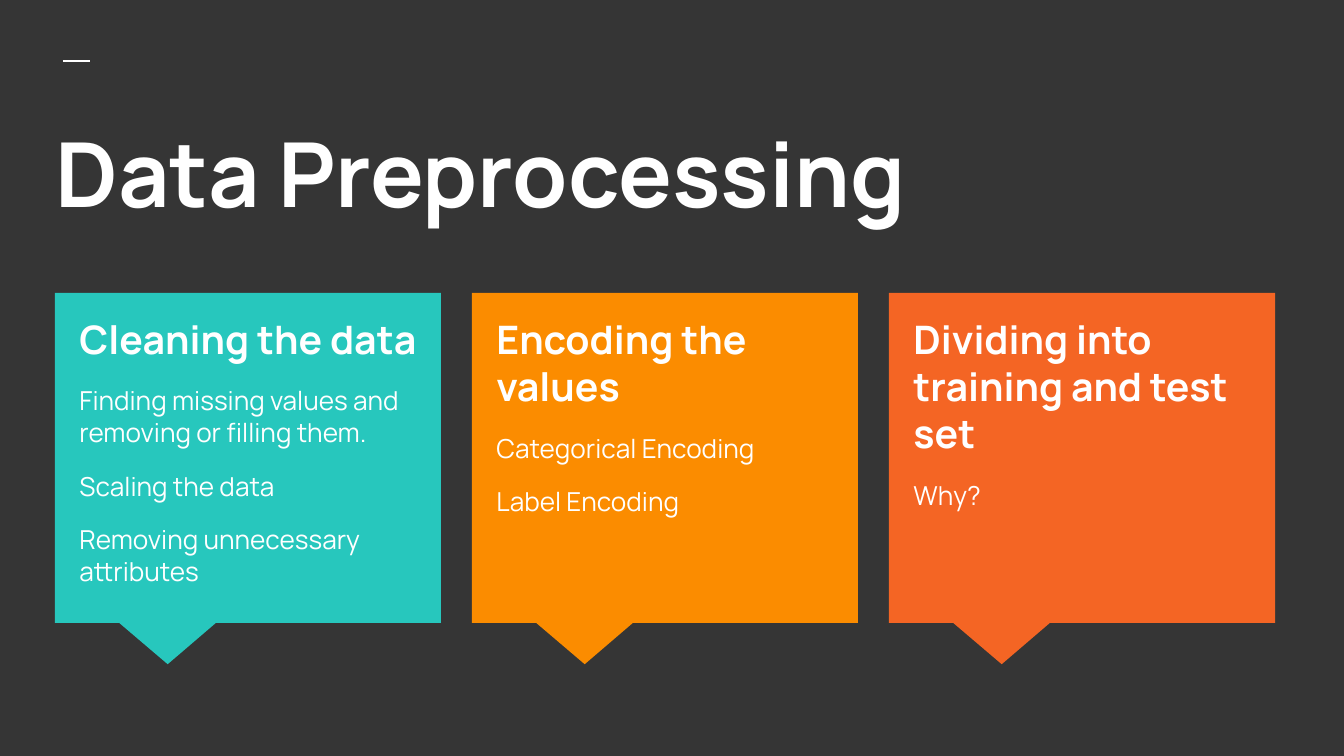
from dataclasses import dataclass

from lxml.etree import SubElement
from pptx import Presentation
from pptx.dml.color import RGBColor
from pptx.enum.shapes import MSO_CONNECTOR, MSO_SHAPE
from pptx.enum.text import MSO_ANCHOR, MSO_AUTO_SIZE, PP_ALIGN
from pptx.oxml.ns import qn
from pptx.util import Emu, Inches, Pt

SCALE = 9144000 / 1344
FONT = "Manrope"
WHITE = "FFFFFF"
LEFT, STEP = 55, 417


@dataclass
class Card:
    color: str
    head: str
    items: list[str]


CARDS = [
    Card("27C7BD", "Cleaning the data", [
        "Finding missing values and removing or filling them.",
        "Scaling the data",
        "Removing unnecessary attributes",
    ]),
    Card("FB8C00", "Encoding the values", ["Categorical Encoding", "Label Encoding"]),
    Card("F46524", "Dividing into training and test set", ["Why?"]),
]


def px(size: int) -> Emu:
    return Emu(round(size * SCALE))


def tint(color: str) -> RGBColor:
    return RGBColor.from_string(color)


def place(shape, left: int, top: int, width: int, height: int) -> None:
    shape.left, shape.top = px(left), px(top)
    shape.width, shape.height = px(width), px(height)


def setup(frame) -> None:
    frame.word_wrap = True
    frame.auto_size = MSO_AUTO_SIZE.NONE
    frame.vertical_anchor = MSO_ANCHOR.TOP
    frame.margin_left = frame.margin_right = Inches(0.1)
    frame.margin_top = frame.margin_bottom = Inches(0.1)


def write(para, text: str, size: int, bold: bool, before: int = 0, after: int = 0) -> None:
    para.text = text
    para.alignment = PP_ALIGN.LEFT
    para.space_before, para.space_after = Pt(before), Pt(after)
    props = para._p.get_or_add_pPr()
    props.set("marL", "0")
    props.set("indent", "0")
    SubElement(props, qn("a:buNone"))
    font = para.font
    font.name, font.size, font.bold = FONT, Pt(size), bold
    font.color.rgb = tint(WHITE)


def draw_dash(slide) -> None:
    dash = slide.shapes.add_connector(
        MSO_CONNECTOR.STRAIGHT, px(63), px(61), px(90), px(61))
    dash.line.color.rgb = tint(WHITE)
    dash.line.width = Pt(1.5)
    SubElement(dash.element.spPr, qn("a:effectLst"))


def draw_card(slide, body, card: Card, left: int) -> None:
    panel = slide.shapes.add_shape(
        MSO_SHAPE.RECTANGULAR_CALLOUT, px(left), px(293), px(386), px(330))
    panel.adjustments[0] = -0.208
    panel.adjustments[1] = 0.625
    panel.shadow.inherit = False
    panel.fill.solid()
    panel.fill.fore_color.rgb = tint(card.color)
    panel.line.fill.background()
    body.element.addprevious(panel.element)

    place(body, left + 11, 302, 364, 294)
    frame = body.text_frame
    setup(frame)
    write(frame.paragraphs[0], card.head, 21, True)
    for item in card.items:
        after = 12 if item == card.items[-1] else 0
        write(frame.add_paragraph(), item, 14, False, 12, after)


def main() -> None:
    deck = Presentation()
    deck.slide_width, deck.slide_height = px(1344), px(756)
    slide = deck.slides.add_slide(deck.slide_layouts[4])
    slide.background.fill.solid()
    slide.background.fill.fore_color.rgb = tint("353535")
    title, *bodies = slide.placeholders
    draw_dash(slide)
    place(title, 42, 105, 1267, 151)
    setup(title.text_frame)
    write(title.text_frame.paragraphs[0], "Data Preprocessing", 48, True)
    for col, (body, card) in enumerate(zip(bodies, CARDS)):
        draw_card(slide, body, card, LEFT + col * STEP)
    for spare in bodies[len(CARDS):]:
        spare.element.getparent().remove(spare.element)
    deck.save("out.pptx")


if __name__ == "__main__":
    main()
